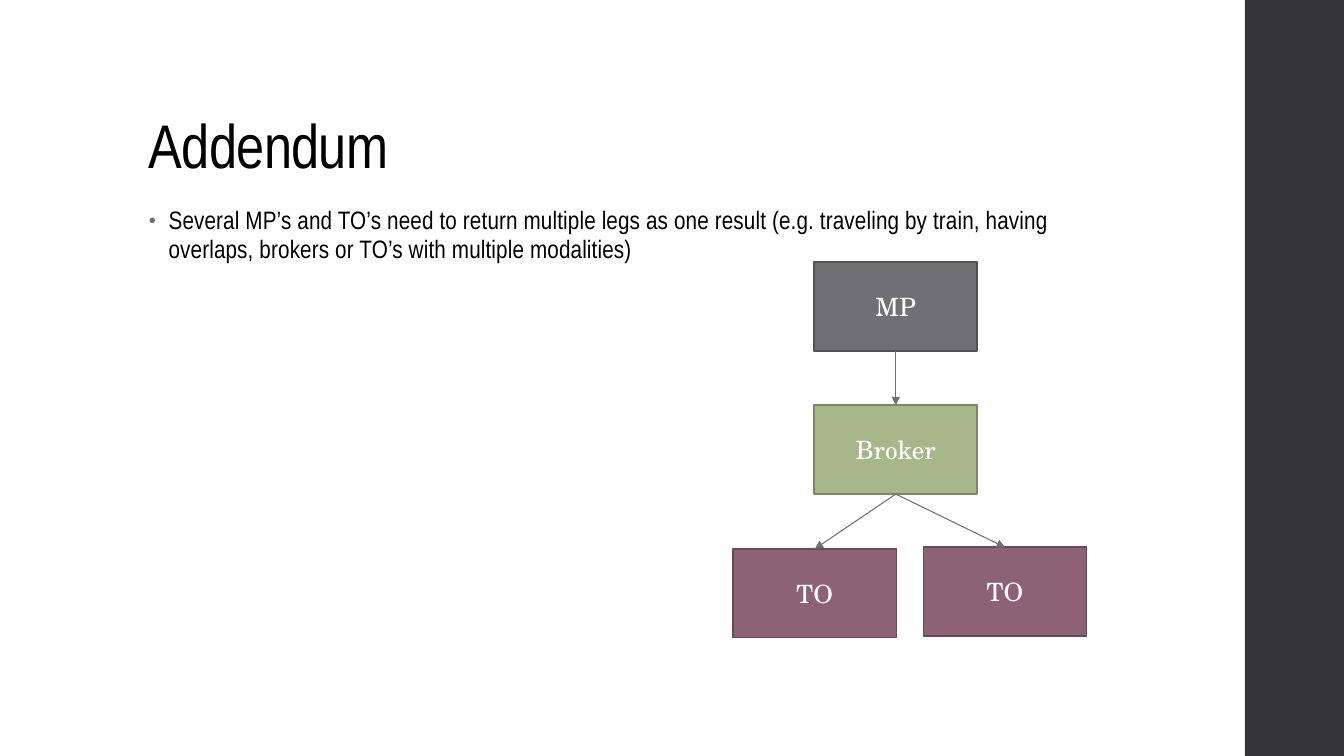
"""Build the addendum slide with its broker diagram."""
import lxml.etree
import pptx
import pptx.dml.color
import pptx.enum.shapes
import pptx.enum.text
import pptx.oxml.ns
import pptx.util

Cm = pptx.util.Cm
Pt = pptx.util.Pt
qn = pptx.oxml.ns.qn
ALIGN = pptx.enum.text.PP_ALIGN
ANCHOR = pptx.enum.text.MSO_ANCHOR
COLORS = {
    "text": "000000", "white": "FFFFFF", "sidebar": "353537",
    "mp": "6F6F74", "mp_edge": "525256",
    "broker": "A7B789", "broker_edge": "7C8765",
    "to": "8D6374", "to_edge": "684956",
}
HEADING_FONT = "Arial Narrow"
BOX_FONT = "TeX Gyre Schola"
BOX_WIDTH, BOX_HEIGHT = 4.11, 2.24
TOP, BOTTOM = 0, 2


def rgb(name):
    """Return the named colour."""
    return pptx.dml.color.RGBColor.from_string(COLORS[name])


def write(shape, text, font=HEADING_FONT, size=18, color="text", align=ALIGN.LEFT,
          anchor=ANCHOR.TOP, line_spacing=None, before=0, after=0, tracking=0):
    """Put formatted text in a shape and return its paragraph."""
    frame = shape.text_frame
    frame.word_wrap = True
    frame.auto_size = pptx.enum.text.MSO_AUTO_SIZE.NONE
    frame.vertical_anchor = anchor
    paragraph = frame.paragraphs[0]
    paragraph.alignment = align
    paragraph.line_spacing = line_spacing
    paragraph.space_before, paragraph.space_after = Pt(before), Pt(after)
    run = paragraph.add_run()
    run.text = text
    run.font.name, run.font.size = font, Pt(size)
    run.font.color.rgb = rgb(color)
    if tracking:
        run.font._element.set("spc", str(round(tracking * 100)))
    return paragraph


def add_bullet(paragraph, color, indent):
    """Give a paragraph a small hanging bullet."""
    properties = paragraph._p.get_or_add_pPr()
    properties.set("marL", str(indent))
    properties.set("indent", str(-indent))
    bullet_color = lxml.etree.SubElement(properties, qn("a:buClr"))
    lxml.etree.SubElement(bullet_color, qn("a:srgbClr"), val=COLORS[color])
    lxml.etree.SubElement(properties, qn("a:buSzPct"), val="80000")
    lxml.etree.SubElement(properties, qn("a:buFont"), typeface="Arial")
    lxml.etree.SubElement(properties, qn("a:buChar"), char="•")


def add_rectangle(slide, left, top, width, height, fill, edge=None):
    """Add a flat rectangle, outlined when an edge colour is given."""
    rectangle = slide.shapes.add_shape(
        pptx.enum.shapes.MSO_SHAPE.RECTANGLE, Cm(left), Cm(top), Cm(width), Cm(height))
    rectangle.shadow.inherit = False
    rectangle.fill.solid()
    rectangle.fill.fore_color.rgb = rgb(fill)
    if edge:
        rectangle.line.color.rgb = rgb(edge)
        rectangle.line.width = Pt(1.1)
    else:
        rectangle.line.fill.background()
    return rectangle


def add_party(slide, label, left, top):
    """Add a labelled box for one party in the colours of its kind."""
    kind = label.lower()
    party = add_rectangle(slide, left, top, BOX_WIDTH, BOX_HEIGHT, kind, f"{kind}_edge")
    write(party, label, font=BOX_FONT, color="white", align=ALIGN.CENTER, anchor=ANCHOR.MIDDLE)
    return party


def add_arrow(slide, sender, receiver):
    """Connect the bottom of one box to the top of another with an arrow."""
    arrow = slide.shapes.add_connector(pptx.enum.shapes.MSO_CONNECTOR.STRAIGHT, 0, 0, 0, 0)
    arrow.begin_connect(sender, BOTTOM)
    arrow.end_connect(receiver, TOP)
    arrow.line.color.rgb = rgb("mp")
    arrow.line.width = Pt(0.75)
    lxml.etree.SubElement(arrow.line._get_or_add_ln(), qn("a:tailEnd"), type="triangle")
    lxml.etree.SubElement(arrow._element.spPr, qn("a:effectLst"))


def main():
    """Build and save the slide."""
    deck = pptx.Presentation()
    deck.slide_width, deck.slide_height = Cm(33.87), Cm(19.05)
    slide = deck.slides.add_slide(deck.slide_layouts[5])
    add_rectangle(slide, 31.37, 0, 2.5, 19.05, "sidebar")

    title = slide.shapes.title
    title.left, title.top, title.width, title.height = Cm(3.5), Cm(1.02), Cm(26.92), Cm(3.68)
    write(title, "Addendum", size=44, anchor=ANCHOR.BOTTOM, line_spacing=0.9, tracking=-0.5)

    body = slide.shapes.add_textbox(Cm(3.5), Cm(5.08), Cm(23.88), Cm(12.09))
    statement = write(
        body,
        "Several MP’s and TO’s need to return multiple legs as one result (e.g. traveling "
        "by train, having overlaps, brokers or TO’s with multiple modalities)",
        line_spacing=0.95, before=14, after=2, tracking=0.1)
    add_bullet(statement, "mp", Cm(0.5))

    provider = add_party(slide, "MP", 20.52, 6.6)
    broker = add_party(slide, "Broker", 20.52, 10.21)
    operators = [add_party(slide, "TO", left, top)
                 for left, top in ((18.48, 13.83), (23.27, 13.79))]
    add_arrow(slide, provider, broker)
    for operator in operators:
        add_arrow(slide, broker, operator)

    deck.save("out.pptx")


main()
